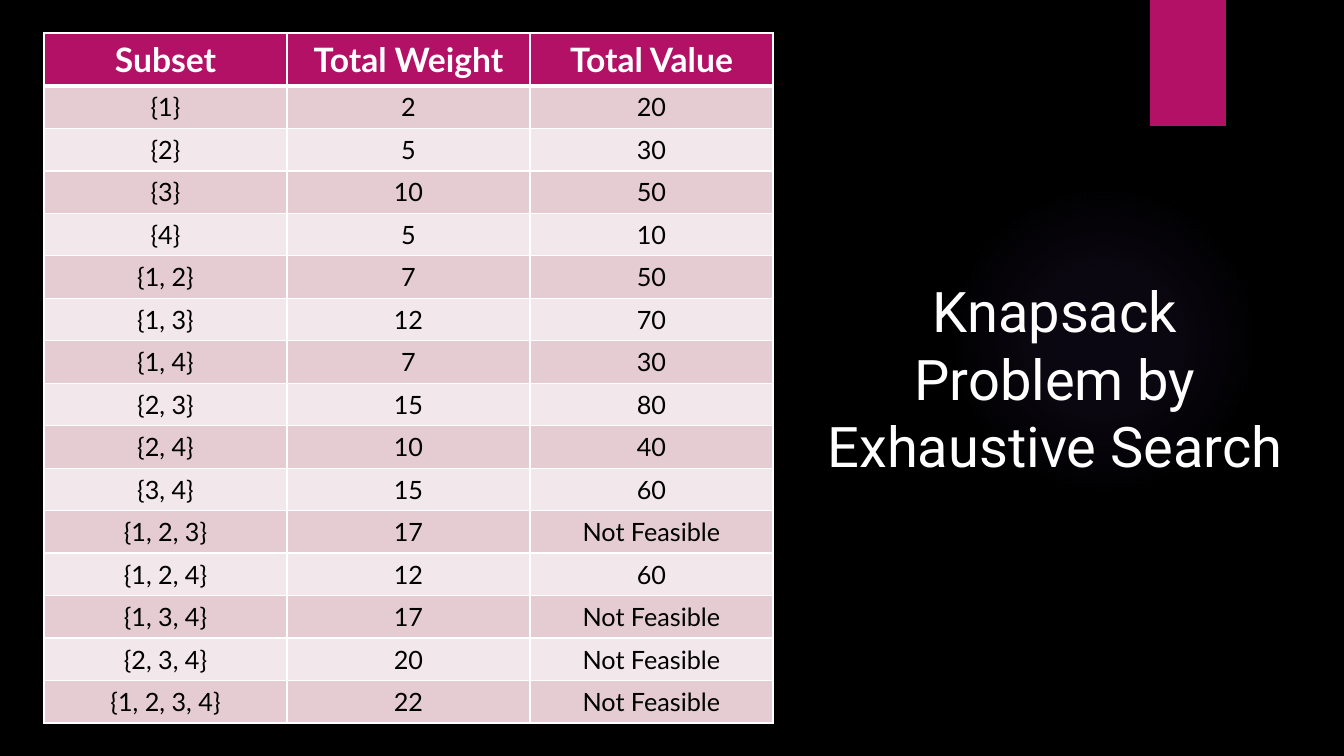
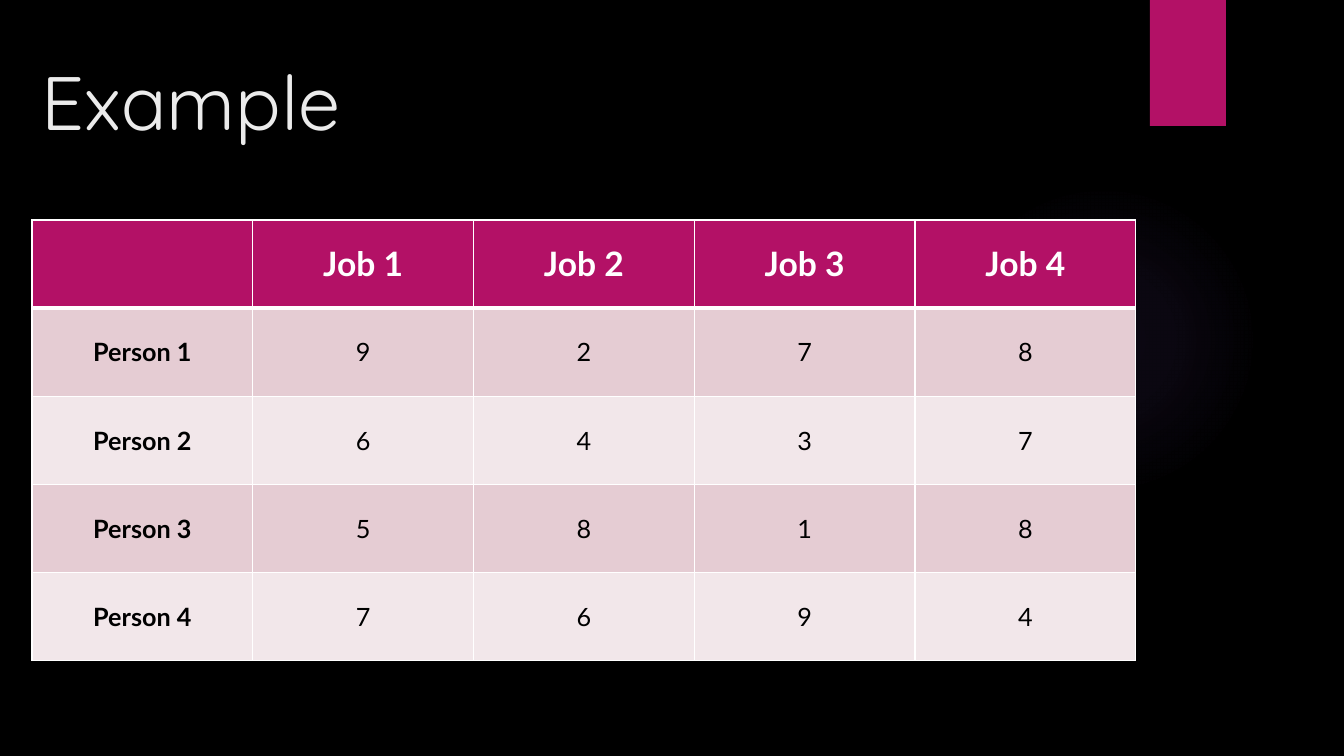
from lxml.etree import SubElement
from pptx import Presentation
from pptx.dml.color import RGBColor
from pptx.enum.shapes import MSO_SHAPE
from pptx.enum.text import MSO_ANCHOR, PP_ALIGN
from pptx.oxml import parse_xml
from pptx.oxml.ns import nsdecls, qn
from pptx.util import Pt

BLACK = RGBColor(0x00, 0x00, 0x00)
WHITE = RGBColor(0xFF, 0xFF, 0xFF)
OFF_WHITE = RGBColor(0xEB, 0xEB, 0xEB)
MAGENTA = RGBColor(0xB3, 0x11, 0x66)
ROW_DARK = RGBColor(0xE5, 0xCC, 0xD3)
ROW_LIGHT = RGBColor(0xF2, 0xE7, 0xEA)
VIOLET = RGBColor(0x9B, 0x6B, 0xF2)

SLIDE_SIZE = (1344, 756)
GLOW_BOX = (949, 185, 310, 310)
GLOW_STOPS = [(0, 7), (36, 6), (69, 0)]  # position and opacity, in percent
RIBBON_BOX = (1150, 0, 76, 126)

TITLE_STYLE = {"name": "Quicksand", "size": Pt(54), "color": OFF_WHITE}
SIDE_TITLE_STYLE = {"name": "Roboto", "size": Pt(40), "color": WHITE}
HEADER_STYLE = {"name": "Lato", "size": Pt(24), "color": WHITE, "bold": True}
BODY_STYLE = {"name": "Lato", "size": Pt(18), "color": BLACK, "bold": False}
ROW_LABEL_STYLE = {**BODY_STYLE, "bold": True}

SLIDES = [
    {
        "title": "Knapsack Problem by Exhaustive Search",
        "title_box": (817, 272, 476, 214),
        "title_style": SIDE_TITLE_STYLE,
        "title_align": PP_ALIGN.CENTER,
        "table_box": (44, 33, 729, 690),
        "header_height": 53,
        "label_style": BODY_STYLE,
        "rows": [
            ("Subset", "Total Weight", "Total Value"),
            ("{1}", "2", "20"),
            ("{2}", "5", "30"),
            ("{3}", "10", "50"),
            ("{4}", "5", "10"),
            ("{1, 2}", "7", "50"),
            ("{1, 3}", "12", "70"),
            ("{1, 4}", "7", "30"),
            ("{2, 3}", "15", "80"),
            ("{2, 4}", "10", "40"),
            ("{3, 4}", "15", "60"),
            ("{1, 2, 3}", "17", "Not Feasible"),
            ("{1, 2, 4}", "12", "60"),
            ("{1, 3, 4}", "17", "Not Feasible"),
            ("{2, 3, 4}", "20", "Not Feasible"),
            ("{1, 2, 3, 4}", "22", "Not Feasible"),
        ],
    },
    {
        "title": "Example",
        "title_box": (32, 50, 1076, 89),
        "title_style": TITLE_STYLE,
        "title_align": PP_ALIGN.LEFT,
        "table_box": (32, 220, 1104, 441),
        "header_height": 88,
        "label_style": ROW_LABEL_STYLE,
        "rows": [
            ("", "Job 1", "Job 2", "Job 3", "Job 4"),
            ("Person 1", "9", "2", "7", "8"),
            ("Person 2", "6", "4", "3", "7"),
            ("Person 3", "5", "8", "1", "8"),
            ("Person 4", "7", "6", "9", "4"),
        ],
    },
]


def px(length):
    return round(length * 914400 / 100.8)


def place(box):
    return [px(length) for length in box]


def style_font(font, style):
    for attribute, value in style.items():
        if attribute == "color":
            font.color.rgb = value
        else:
            setattr(font, attribute, value)


def add_glow(slide):
    glow = slide.shapes.add_shape(MSO_SHAPE.OVAL, *place(GLOW_BOX))
    glow.shadow.inherit = False
    glow.line.fill.background()
    stops = "".join(
        f'<a:gs pos="{position * 1000}"><a:srgbClr val="{VIOLET}">'
        f'<a:alpha val="{opacity * 1000}"/></a:srgbClr></a:gs>'
        for position, opacity in GLOW_STOPS
    )
    gradient = parse_xml(
        f'<a:gradFill {nsdecls("a")}><a:gsLst>{stops}</a:gsLst><a:path path="circle">'
        '<a:fillToRect l="50000" t="50000" r="50000" b="50000"/></a:path></a:gradFill>'
    )
    glow._element.spPr.find(qn("a:prstGeom")).addnext(gradient)


def add_ribbon(slide):
    ribbon = slide.shapes.add_shape(MSO_SHAPE.RECTANGLE, *place(RIBBON_BOX))
    ribbon.shadow.inherit = False
    ribbon.fill.solid()
    ribbon.fill.fore_color.rgb = MAGENTA
    ribbon.line.fill.background()


def add_base_slide(prs):
    slide = prs.slides.add_slide(prs.slide_layouts[6])
    slide.background.fill.solid()
    slide.background.fill.fore_color.rgb = BLACK
    add_glow(slide)
    add_ribbon(slide)
    return slide


def add_title(slide, content):
    frame = slide.shapes.add_textbox(*place(content["title_box"])).text_frame
    frame.word_wrap = True
    title = frame.paragraphs[0]
    title.text = content["title"]
    title.alignment = content["title_align"]
    style_font(title.font, content["title_style"])


def set_borders(cell, top, bottom):
    """Draw white borders; call before the fill is set, as lines come first."""
    properties = cell._tc.get_or_add_tcPr()
    for side, width in (("L", 1), ("R", 1), ("T", top), ("B", bottom)):
        border = SubElement(properties, qn(f"a:ln{side}"), w=str(Pt(width)))
        line_fill = SubElement(border, qn("a:solidFill"))
        SubElement(line_fill, qn("a:srgbClr"), val=str(WHITE))


def format_cell(cell, text, fill, style, top=1, bottom=1):
    set_borders(cell, top, bottom)
    cell.fill.solid()
    cell.fill.fore_color.rgb = fill
    cell.vertical_anchor = MSO_ANCHOR.MIDDLE
    paragraph = cell.text_frame.paragraphs[0]
    paragraph.text = text
    paragraph.alignment = PP_ALIGN.CENTER
    style_font(paragraph.font, style)


def add_data_table(slide, content):
    rows, box = content["rows"], content["table_box"]
    table = slide.shapes.add_table(len(rows), len(rows[0]), *place(box)).table
    header_height = content["header_height"]
    body_height = (box[3] - header_height) / (len(rows) - 1)
    for r, values in enumerate(rows):
        table.rows[r].height = px(body_height if r else header_height)
        for c, text in enumerate(values):
            cell = table.cell(r, c)
            if r == 0:
                format_cell(cell, text, MAGENTA, HEADER_STYLE, bottom=3)
            else:
                fill = ROW_DARK if r % 2 else ROW_LIGHT
                style = BODY_STYLE if c else content["label_style"]
                format_cell(cell, text, fill, style, top=3 if r == 1 else 1)


def main():
    prs = Presentation()
    prs.slide_width, prs.slide_height = place(SLIDE_SIZE)
    for content in SLIDES:
        slide = add_base_slide(prs)
        add_title(slide, content)
        add_data_table(slide, content)
    prs.save("out.pptx")


if __name__ == "__main__":
    main()
